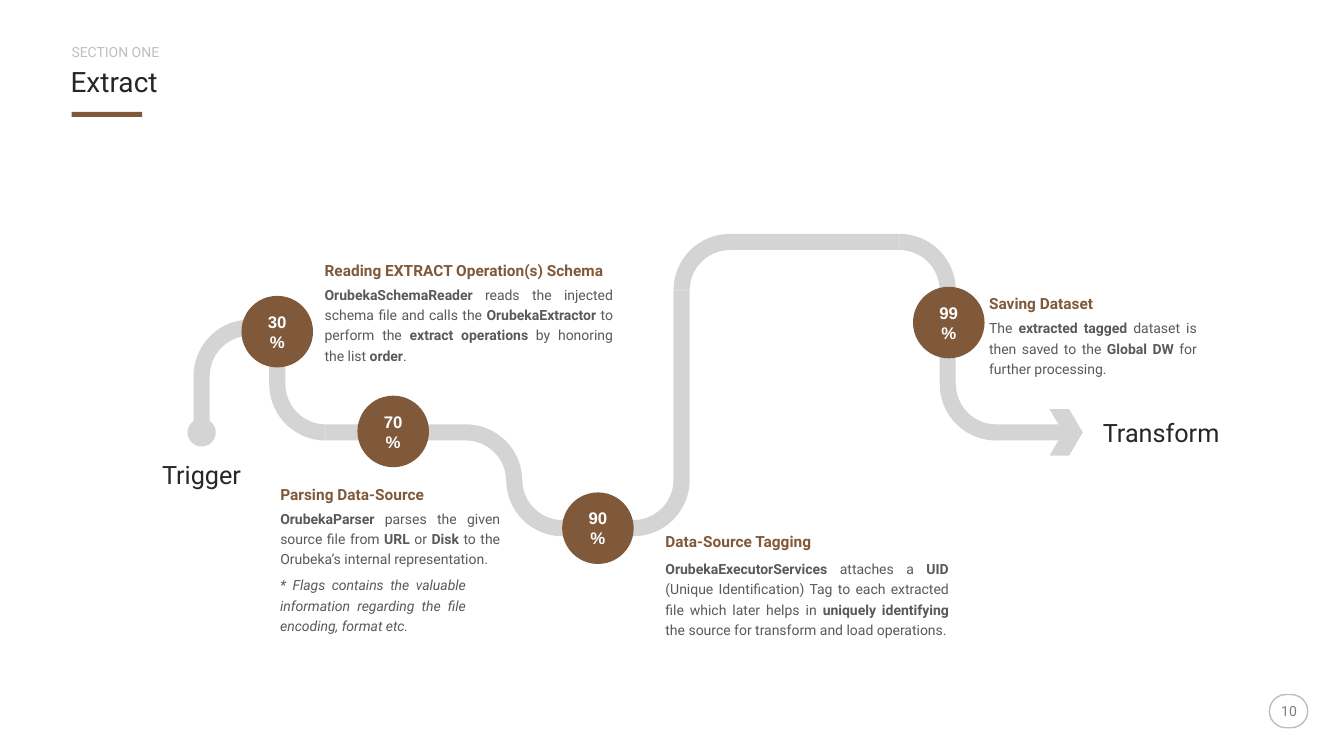
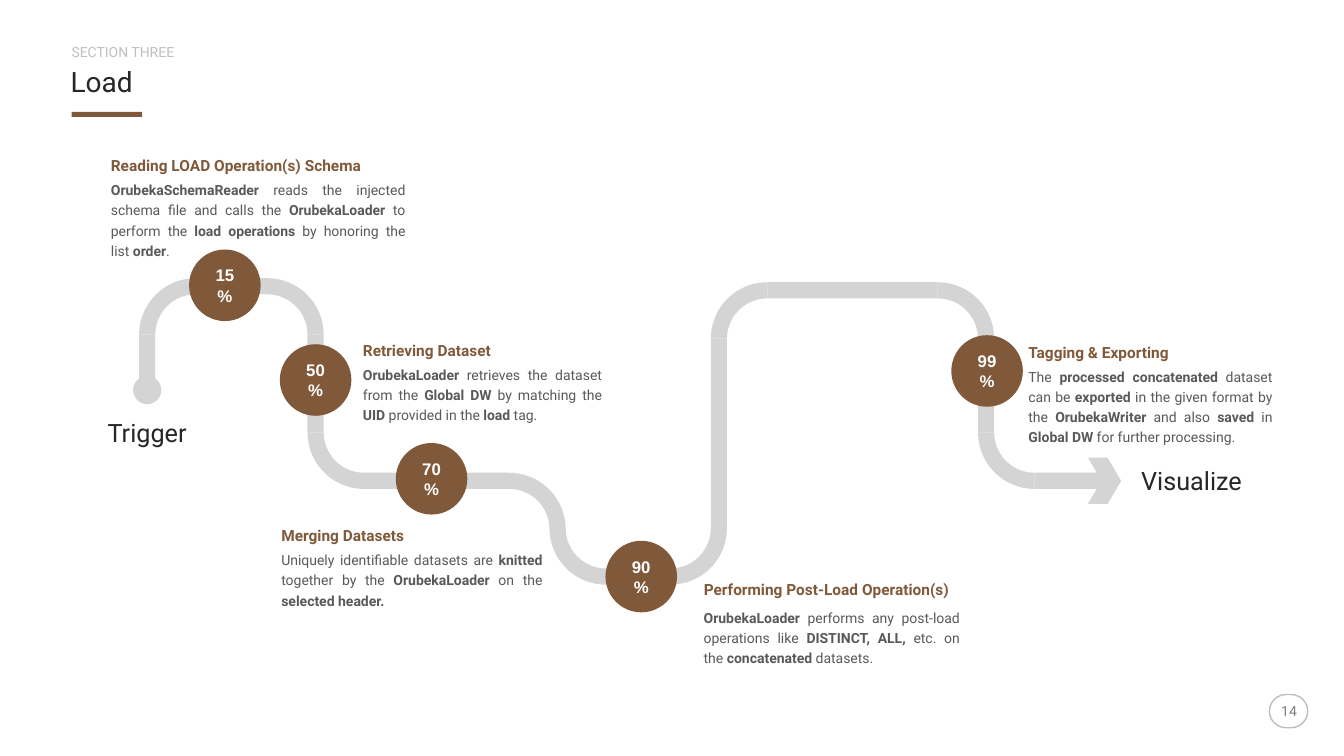
from dataclasses import dataclass, field
from itertools import pairwise

from pptx import Presentation
from pptx import util as u
from pptx.dml.color import RGBColor
from pptx.enum import shapes, text

PX = 9144
ROAD_WIDTH = 16
BEND = 48
BADGE = 71
DOT = 28
SHAPE = shapes.MSO_SHAPE
ALIGN = text.PP_ALIGN
ANCHOR = text.MSO_ANCHOR


def style(size, color, name="Roboto", **extra):
    return {"color": color, "font": {"name": name, "size": u.Pt(size), **extra}}


@dataclass(frozen=True)
class Theme:
    accent: str = "80593A"
    road: str = "D4D4D4"
    outline: str = "BEBEBE"
    title: dict = field(default_factory=lambda: style(20, "262626"))
    section: dict = field(default_factory=lambda: style(10, "BFBFBF"))
    page: dict = field(default_factory=lambda: style(10, "7F7F7F"))
    terminal: dict = field(default_factory=lambda: style(18, "262626"))
    heading: dict = field(default_factory=lambda: style(11, "80593A", bold=True))
    body: dict = field(default_factory=lambda: style(10, "595959"))
    note: dict = field(default_factory=lambda: style(10, "595959", italic=True))
    badge: dict = field(default_factory=lambda: style(12, "FFFFFF", "Arial", bold=True))


THEME = Theme()


@dataclass(frozen=True)
class Step:
    heading: str
    body: str
    left: int
    top: int
    heading_width: int
    body_width: int
    gap: int = 20


def set_all(target, values):
    for name, value in values.items():
        setattr(target, name, value)


def px(*lengths):
    return [u.Emu(round(length * PX)) for length in lengths]


def write(shape, content, look, align=ALIGN.LEFT, spacing=1.0, anchor=ANCHOR.TOP, inset=(0, 0)):
    side, edge = px(*inset)
    frame = shape.text_frame
    set_all(frame, {
        "word_wrap": True, "vertical_anchor": anchor,
        "margin_left": side, "margin_right": side,
        "margin_top": edge, "margin_bottom": edge,
    })
    paragraph = frame.paragraphs[0]
    set_all(paragraph, {"alignment": align, "line_spacing": spacing})
    for index, part in enumerate(content.split("|")):
        if part:
            run = paragraph.add_run()
            run.text = part
            set_all(run.font, look["font"])
            if index % 2:
                run.font.bold = True
            run.font.color.rgb = RGBColor.from_string(look["color"])


def add_text(slide, box, content, look, **layout):
    write(slide.shapes.add_textbox(*px(*box)), content, look, **layout)


def add_block(slide, kind, box, fill=None, line=None, adjustments=(), rotation=0):
    shape = slide.shapes.add_shape(kind, *px(*box))
    shape.shadow.inherit = False
    shape.rotation = rotation
    for index, value in enumerate(adjustments):
        shape.adjustments[index] = value
    if fill:
        shape.fill.solid()
        shape.fill.fore_color.rgb = RGBColor.from_string(fill)
    else:
        shape.fill.background()
    if line:
        shape.line.color.rgb = RGBColor.from_string(line)
        shape.line.width = u.Pt(1)
    else:
        shape.line.fill.background()
    return shape


def centered(x, y, width, height):
    return x - width / 2, y - height / 2, width, height


def direction(start, end):
    return tuple((b > a) - (b < a) for a, b in zip(start, end))


def add_straight(slide, start, end, trim_start, trim_end):
    step = direction(start, end)
    first = [a + trim_start * d for a, d in zip(start, step)]
    last = [b - trim_end * d for b, d in zip(end, step)]
    if sum((b - a) * d for a, b, d in zip(first, last, step)) <= 0:
        return
    size = [abs(b - a) or ROAD_WIDTH for a, b in zip(first, last)]
    middle = [(a + b) / 2 for a, b in zip(first, last)]
    add_block(slide, SHAPE.RECTANGLE, centered(*middle, *size), THEME.road)


def add_bend(slide, before, corner, after):
    back, ahead = direction(corner, before), direction(corner, after)
    inward = tuple(a + b for a, b in zip(back, ahead))
    rotation = {(-1, 1): 0, (-1, -1): 90, (1, -1): 180, (1, 1): 270}[inward]
    middle = [c + BEND * d for c, d in zip(corner, inward)]
    side = 2 * BEND + ROAD_WIDTH
    add_block(slide, SHAPE.BLOCK_ARC, centered(*middle, side, side), THEME.road,
              adjustments=(162, 215.99, ROAD_WIDTH / side), rotation=rotation)


def add_road(slide, points):
    last = len(points) - 2
    for index, (start, end) in enumerate(pairwise(points)):
        add_straight(slide, start, end, BEND if index else 0, BEND if index < last else 0)
    for corner in zip(points, points[1:], points[2:]):
        add_bend(slide, *corner)


def add_terminals(slide, start, end, goal, goal_width):
    x, y = start
    add_block(slide, SHAPE.OVAL, centered(x, y, DOT, DOT), THEME.road)
    add_text(slide, (x - 70, y + 22, 140, 41), "Trigger", THEME.terminal,
             align=ALIGN.CENTER, inset=(10, 5))
    x, y = end
    add_block(slide, SHAPE.CHEVRON, (x - 17, y - 23, 33, 46), THEME.road, adjustments=(0.41,))
    add_text(slide, (x + 26, y - 20, goal_width, 40), goal, THEME.terminal, inset=(10, 5))


def add_step(slide, step):
    add_text(slide, (step.left, step.top, step.heading_width, 23), step.heading,
             THEME.heading, spacing=0.9)
    add_text(slide, (step.left, step.top + step.gap, step.body_width, 58), step.body,
             THEME.body, align=ALIGN.JUSTIFY, spacing=1.2)


def add_badge(slide, label, x, y):
    badge = add_block(slide, SHAPE.OVAL, centered(x, y, BADGE, BADGE), THEME.accent)
    write(badge, label, THEME.badge, align=ALIGN.CENTER, anchor=ANCHOR.MIDDLE, inset=(10, 5))


def add_frame(slide, section, title, page):
    add_block(slide, SHAPE.ROUNDED_RECTANGLE, (1259, 689, 38, 33),
              line=THEME.outline, adjustments=(0.5,))
    add_block(slide, SHAPE.RECTANGLE, (71, 111, 70, 5), THEME.accent)
    add_text(slide, (70, 68, 1193, 33), title, THEME.title, spacing=0.9)
    add_text(slide, (71, 45, 1193, 17), section, THEME.section, spacing=0.9)
    add_text(slide, (1255, 684, 47, 43), page, THEME.page,
             align=ALIGN.CENTER, anchor=ANCHOR.MIDDLE)


def add_journey(presentation, frame, roads, goal, steps, badges):
    slide = presentation.slides.add_slide(presentation.slide_layouts[6])
    add_frame(slide, *frame)
    for points in roads:
        add_road(slide, points)
    add_terminals(slide, roads[0][0], roads[-1][-1], *goal)
    for step in steps:
        add_step(slide, step)
    for badge in badges:
        add_badge(slide, *badge)
    return slide


EXTRACT = {
    "frame": ("SECTION ONE", "Extract", "10"),
    "roads": [
        [(200, 429), (200, 325), (275, 325)],
        [(275, 329), (275, 429), (510, 429), (510, 524), (676, 524),
         (676, 240), (940, 240), (940, 429), (1058, 429)],
    ],
    "goal": ("Transform", 174),
    "steps": [
        Step("Reading EXTRACT Operation(s) Schema",
             "|OrubekaSchemaReader| reads the injected schema file and calls the "
             "|OrubekaExtractor| to perform the |extract operations |by honoring the list |order|.",
             322, 261, 308, 286),
        Step("Parsing Data-Source",
             "|OrubekaParser| parses the given source file from |URL| or |Disk| to the "
             "Orubeka’s internal representation.",
             278, 483, 211, 218),
        Step("Data-Source Tagging",
             "|OrubekaExecutorServices| attaches a |UID| (Unique Identification) Tag to each "
             "extracted file which later helps in |uniquely identifying |the source for "
             "transform and load operations.",
             660, 530, 237, 281, 23),
        Step("Saving Dataset",
             "The |extracted tagged |dataset is then saved to the |Global DW |for further processing.",
             981, 294, 206, 206),
    ],
    "badges": [("30%", 275, 329), ("70%", 390, 428), ("90%", 593, 524), ("99%", 941, 320)],
}

LOAD = {
    "frame": ("SECTION THREE", "Load", "14"),
    "roads": [
        [(146, 387), (146, 284), (313, 284), (313, 477), (553, 477), (553, 572),
         (713, 572), (713, 288), (978, 288), (978, 477), (1096, 477)],
    ],
    "goal": ("Visualize", 121),
    "steps": [
        Step("Reading LOAD Operation(s) Schema",
             "|OrubekaSchemaReader| reads the injected schema file and calls the "
             "|OrubekaLoader| to perform the |load operations |by honoring the list |order|.",
             110, 157, 272, 292),
        Step("Retrieving Dataset",
             "|OrubekaLoader| retrieves the dataset from the |Global DW |by matching the "
             "|UID| provided in the |load| tag.",
             360, 340, 215, 237),
        Step("Merging Datasets",
             "Uniquely identifiable datasets are |knitted| together by the |OrubekaLoader| "
             "on the |selected header.|",
             279, 524, 211, 259),
        Step("Performing Post-Load Operation(s)",
             "|OrubekaLoader| performs any post-load operations like |DISTINCT, ALL,| etc. "
             "on the |concatenated| datasets.",
             698, 578, 261, 254, 23),
        Step("Tagging & Exporting",
             "The |processed concatenated| dataset can be |exported| in the given format by the "
             "|OrubekaWriter| and also |saved| in |Global DW |for further processing.",
             1020, 342, 206, 242),
    ],
    "badges": [("15%", 223, 283), ("50%", 313, 377), ("70%", 428, 475),
               ("90%", 636, 572), ("99%", 979, 368)],
}


def main():
    presentation = Presentation()
    presentation.slide_width, presentation.slide_height = px(1333, 750)
    extract = add_journey(presentation, **EXTRACT)
    add_text(extract, (278, 569, 184, 58),
             "* Flags contains the valuable information regarding the file encoding, format etc.",
             THEME.note, align=ALIGN.JUSTIFY, spacing=1.2)
    add_journey(presentation, **LOAD)
    presentation.save("out.pptx")


if __name__ == "__main__":
    main()
